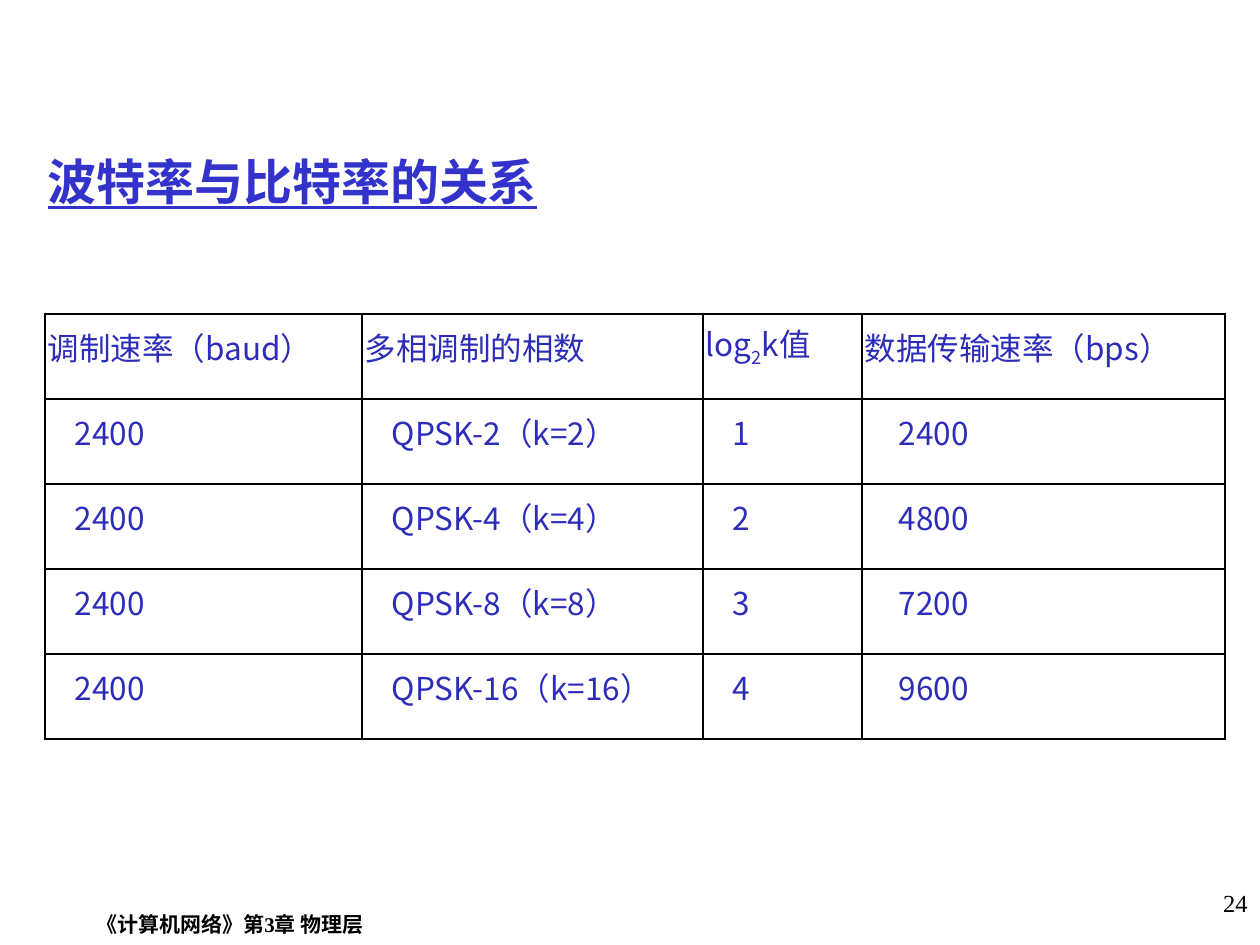
from dataclasses import dataclass

from lxml import etree
from pptx import Presentation, util as u
from pptx.dml.color import RGBColor
from pptx.enum import text
from pptx.oxml.ns import qn

PX_PER_INCH = 126
SANS, CJK_TITLE, SERIF = "Noto Sans CJK SC", "Noto Sans CJK JP", "Times New Roman"
INK, TITLE_BLUE, TABLE_BLUE = "000000", "3333CC", "2D2DB9"
THIN, THICK = 1, 1.5
ROW_HEIGHT = 85
CELL_MARGIN, CELL_TOP = 3, 28


@dataclass
class Column:
    heading: str
    width: int
    indent: int
    values: list[str]


@dataclass
class FooterNote:
    words: str
    left: int
    width: int
    top_inset: int
    size: int
    bold: bool
    align: text.PP_ALIGN


PHASES = [2, 4, 8, 16]
COLUMNS = [
    Column("调制速率（baud）", 317, 30, ["2400"] * len(PHASES)),
    Column("多相调制的相数", 341, 30, [f"QPSK-{k}（k={k}）" for k in PHASES]),
    Column("log2k值", 159, 30, ["1", "2", "3", "4"]),
    Column("数据传输速率（bps）", 363, 37, ["2400", "4800", "7200", "9600"]),
]
FOOTER_NOTES = [
    FooterNote("《计算机网络》第3章 物理层", 84, 735, 30, 12, True, text.PP_ALIGN.LEFT),
    FooterNote("24", 998, 262, 6, 14, False, text.PP_ALIGN.RIGHT),
]


def px(length: int) -> u.Emu:
    return u.Emu(round(length * u.Inches(1) / PX_PER_INCH))


def rgb(colour: str) -> RGBColor:
    return RGBColor.from_string(colour)


def style_run(run, size: int, colour: str, latin: str, east_asian: str, bold: bool = False) -> None:
    font = run.font
    font.size, font.bold, font.name = u.Pt(size), bold, latin
    font.color.rgb = rgb(colour)
    latin_tag = run._r.get_or_add_rPr().find(qn("a:latin"))
    ea_tag = etree.Element(qn("a:ea"), typeface=east_asian)
    latin_tag.addnext(ea_tag)


def set_borders(cell, widths: dict[str, float]) -> None:
    """Draw the sides named L, R, T and B, in that order, ahead of the cell fill."""
    properties = cell._tc.get_or_add_tcPr()
    for position, (side, points) in enumerate(widths.items()):
        line = etree.Element(qn(f"a:ln{side}"), w=str(u.Pt(points)))
        fill = etree.SubElement(line, qn("a:solidFill"))
        etree.SubElement(fill, qn("a:srgbClr"), val=INK)
        properties.insert(position, line)


def fill_cell(cell, words: str, indent: int) -> None:
    cell.margin_left, cell.margin_right = px(indent), px(CELL_MARGIN)
    cell.margin_top, cell.margin_bottom = px(CELL_TOP), 0
    cell.fill.background()
    paragraph = cell.text_frame.paragraphs[0]
    paragraph.alignment = text.PP_ALIGN.JUSTIFY
    paragraph.line_spacing = u.Pt(16)
    if words.startswith("log2"):
        for part in ("log", "2", words[4:]):
            paragraph.add_run().text = part
        paragraph.runs[1]._r.get_or_add_rPr().set("baseline", "-25000")
    else:
        paragraph.text = words
    for run in paragraph.runs:
        style_run(run, 18, TABLE_BLUE, SANS, SANS)


def add_title(slide) -> None:
    title = slide.shapes.title
    title.left, title.top, title.width, title.height = px(35), px(26), px(1121), px(309)
    frame = title.text_frame
    frame.text = "波特率与比特率的关系"
    frame.vertical_anchor = text.MSO_ANCHOR.MIDDLE
    frame.paragraphs[0].alignment = text.PP_ALIGN.LEFT
    run = frame.paragraphs[0].runs[0]
    style_run(run, 28, TITLE_BLUE, CJK_TITLE, CJK_TITLE, bold=True)
    run.font.underline = True


def add_rate_table(slide) -> None:
    row_count = len(PHASES) + 1
    table = slide.shapes.add_table(
        row_count, len(COLUMNS), px(45), px(314),
        px(sum(column.width for column in COLUMNS)), px(ROW_HEIGHT * row_count),
    ).table
    table.first_row = table.horz_banding = False
    for row in table.rows:
        row.height = px(ROW_HEIGHT)
    last_row, last_col = row_count - 1, len(COLUMNS) - 1
    for c, column in enumerate(COLUMNS):
        table.columns[c].width = px(column.width)
        for r, words in enumerate([column.heading, *column.values]):
            cell = table.cell(r, c)
            fill_cell(cell, words, column.indent if r else CELL_MARGIN)
            set_borders(cell, {
                "L": THICK if c == 0 else THIN,
                "R": THICK if c == last_col else THIN,
                "T": THICK if r <= 1 else THIN,
                "B": THICK if r in (0, last_row) else THIN,
            })


def add_footer_note(slide, note: FooterNote) -> None:
    frame = slide.shapes.add_textbox(px(note.left), px(882), px(note.width), px(63)).text_frame
    frame.word_wrap = True
    frame.margin_top = px(note.top_inset)
    frame.text = note.words
    paragraph = frame.paragraphs[0]
    paragraph.alignment = note.align
    style_run(paragraph.runs[0], note.size, INK, SERIF, SANS, note.bold)


def main() -> None:
    deck = Presentation()
    deck.slide_width, deck.slide_height = px(1260), px(945)
    slide = deck.slides.add_slide(deck.slide_layouts[5])
    add_title(slide)
    add_rate_table(slide)
    for note in FOOTER_NOTES:
        add_footer_note(slide, note)
    deck.save("out.pptx")


if __name__ == "__main__":
    main()
